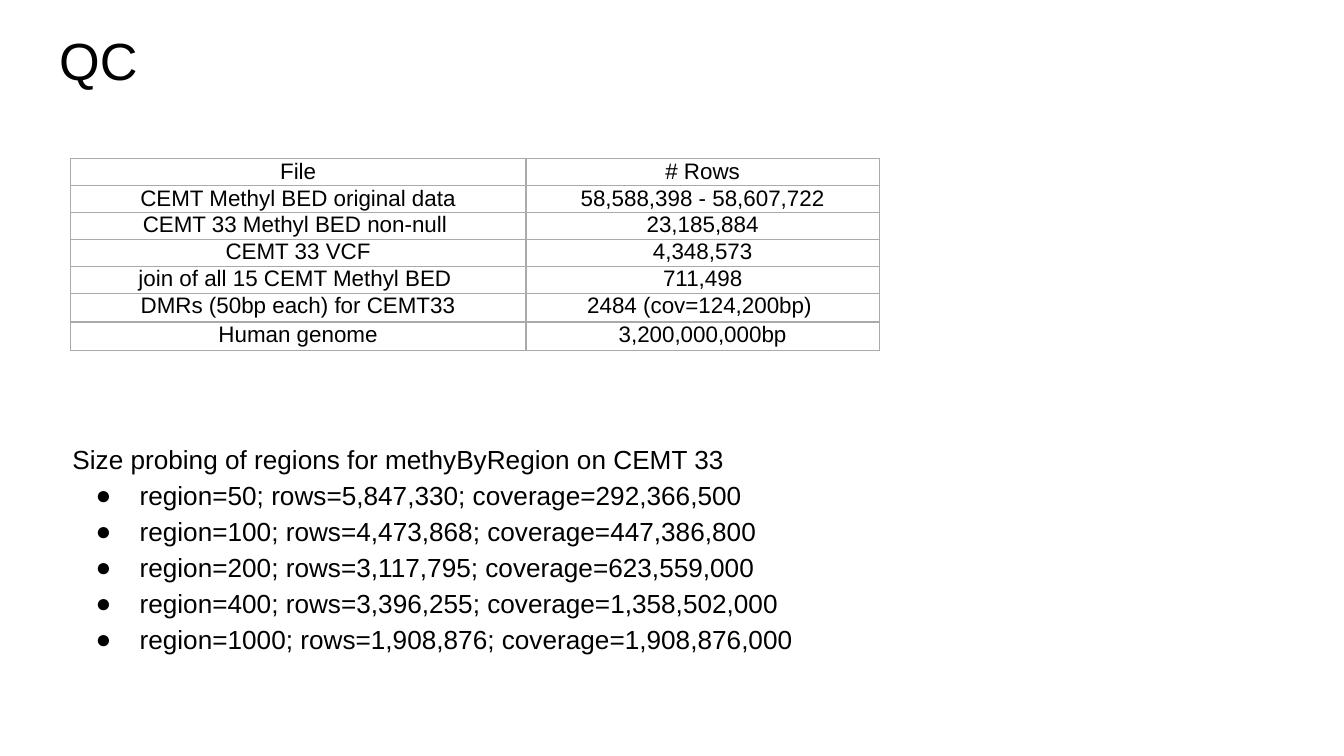
from typing import NamedTuple

from lxml.etree import SubElement
from pptx import Presentation
from pptx.dml.color import RGBColor
from pptx.enum.text import MSO_ANCHOR, PP_ALIGN
from pptx.oxml.ns import qn
from pptx.util import Cm, Pt

BLACK = RGBColor(0x00, 0x00, 0x00)
BORDER_GRAY = RGBColor(0xAA, 0xAA, 0xAA)
FONT = "Arial"
INSET = 0.25


class FileCount(NamedTuple):
    file: str
    rows: str
    height: float = 0.47


class Region(NamedTuple):
    size: int
    rows: str
    coverage: str


FILE_COUNTS = [
    FileCount("File", "# Rows"),
    FileCount("CEMT Methyl BED original data", "58,588,398 - 58,607,722"),
    FileCount("CEMT 33 Methyl BED non-null ", "23,185,884"),
    FileCount("CEMT 33 VCF", "4,348,573"),
    FileCount("join of all 15 CEMT Methyl BED ", "711,498"),
    FileCount("DMRs (50bp each) for CEMT33", "2484 (cov=124,200bp) ", 0.54),
    FileCount("Human genome", "3,200,000,000bp", 0.54),
]
COLUMN_WIDTHS = (8.61, 6.68)

REGIONS = [
    Region(50, "5,847,330", "292,366,500"),
    Region(100, "4,473,868", "447,386,800"),
    Region(200, "3,117,795", "623,559,000"),
    Region(400, "3,396,255", "1,358,502,000"),
    Region(1000, "1,908,876", "1,908,876,000"),
]


def add_text(paragraph, text: str, size: float) -> None:
    run = paragraph.add_run()
    run.text = text
    run.font.name = FONT
    run.font.size = Pt(size)
    run.font.color.rgb = BLACK


def add_text_frame(slide, left: float, top: float, width: float, height: float,
                   top_inset: float = INSET):
    box = slide.shapes.add_textbox(Cm(left), Cm(top), Cm(width), Cm(height))
    frame = box.text_frame
    frame.word_wrap = True
    frame.vertical_anchor = MSO_ANCHOR.TOP
    frame.margin_left = frame.margin_right = frame.margin_bottom = Cm(INSET)
    frame.margin_top = Cm(top_inset)
    return frame


def set_borders(cell) -> None:
    properties = cell._tc.get_or_add_tcPr()
    for position, side in enumerate(("a:lnL", "a:lnR", "a:lnT", "a:lnB")):
        line = SubElement(properties, qn(side), w=str(Pt(0.75)))
        fill = SubElement(line, qn("a:solidFill"))
        SubElement(fill, qn("a:srgbClr"), val=str(BORDER_GRAY))
        properties.insert(position, line)


def fill_cell(cell, text: str) -> None:
    cell.margin_left = cell.margin_right = cell.margin_top = cell.margin_bottom = 0
    cell.fill.background()
    set_borders(cell)
    paragraph = cell.text_frame.paragraphs[0]
    paragraph.alignment = PP_ALIGN.CENTER
    add_text(paragraph, text, 12)


def add_file_table(slide, counts: list[FileCount]) -> None:
    table = slide.shapes.add_table(
        len(counts), len(COLUMN_WIDTHS), Cm(1.33), Cm(3),
        Cm(sum(COLUMN_WIDTHS)), Cm(sum(count.height for count in counts))).table
    table.first_row = table.horz_banding = False
    for column, width in zip(table.columns, COLUMN_WIDTHS):
        column.width = Cm(width)
    for row, count in zip(table.rows, counts):
        row.height = Cm(count.height)
        for cell, text in zip(row.cells, (count.file, count.rows)):
            fill_cell(cell, text)


def add_region_bullet(frame, region: Region) -> None:
    paragraph = frame.add_paragraph()
    properties = paragraph._p.get_or_add_pPr()
    properties.set("marL", str(Cm(1.27)))
    properties.set("indent", str(-Cm(0.83)))
    color = SubElement(properties, qn("a:buClr"))
    SubElement(color, qn("a:srgbClr"), val=str(BLACK))
    SubElement(properties, qn("a:buFont"), typeface=FONT)
    SubElement(properties, qn("a:buChar"), char="●")
    paragraph.line_spacing = 1.15
    add_text(paragraph, f"region={region.size}; rows={region.rows}; "
                        f"coverage={region.coverage}", 14)


def main() -> None:
    presentation = Presentation()
    presentation.slide_width = Cm(25.4)
    presentation.slide_height = Cm(14.29)
    slide = presentation.slides.add_slide(presentation.slide_layouts[6])

    # Title
    title = add_text_frame(slide, 0.87, 0.2, 23.67, 1.6, top_inset=0.34)
    add_text(title.paragraphs[0], "QC", 28)

    # Row counts per file
    add_file_table(slide, FILE_COUNTS)

    # Region sizes
    probing = add_text_frame(slide, 1.12, 8.13, 15.29, 5.23)
    add_text(probing.paragraphs[0],
             "Size probing of regions for methyByRegion on CEMT 33", 14)
    for region in REGIONS:
        add_region_bullet(probing, region)

    presentation.save("out.pptx")


if __name__ == "__main__":
    main()
